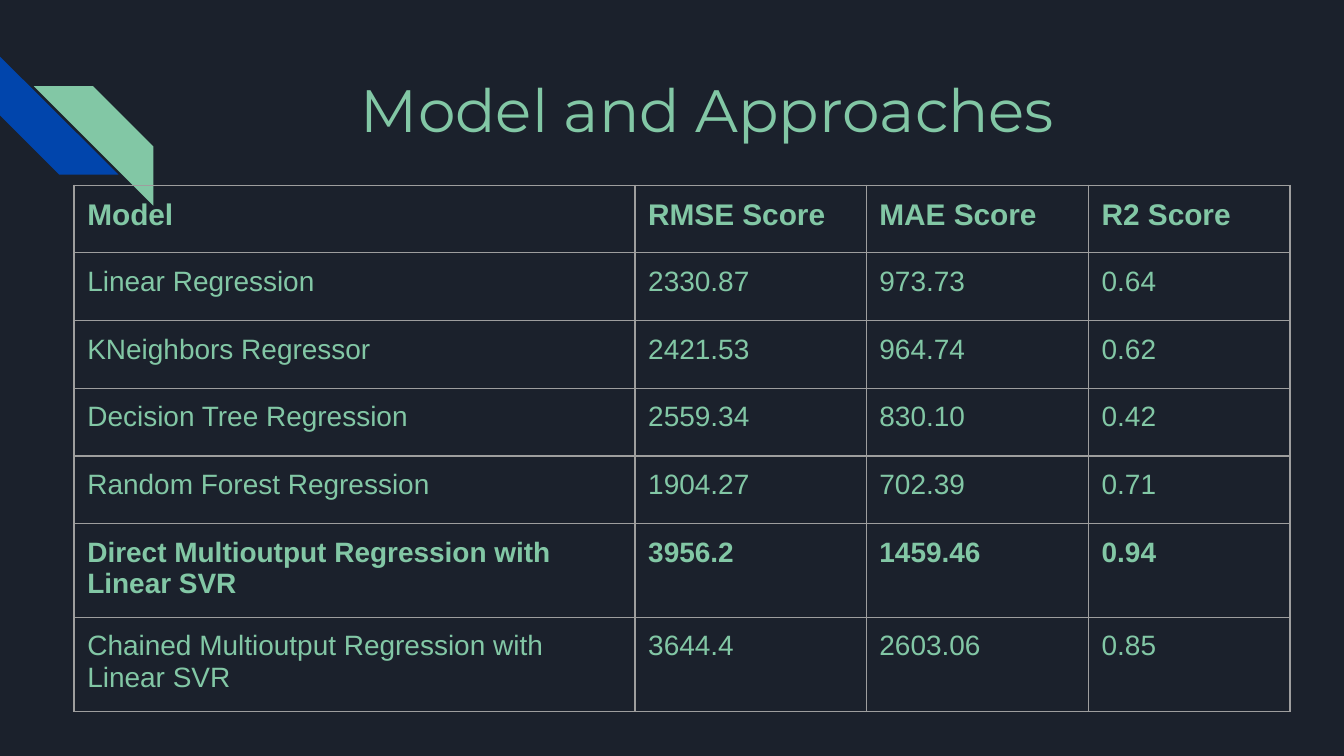
from dataclasses import dataclass

from lxml.etree import SubElement
from pptx import Presentation
from pptx.dml.color import RGBColor
from pptx.enum.text import MSO_ANCHOR, PP_ALIGN
from pptx.oxml.ns import qn
from pptx.util import Cm, Pt


@dataclass(frozen=True)
class Theme:
    back: str = "1B212C"
    blue: str = "0145AC"
    green: str = "82C7A5"
    grid: str = "9E9E9E"
    title: int = 32
    head: int = 16
    body: int = 15


THEME = Theme()
PAD = Cm(0.25)
MARGINS = {f"margin_{side}": PAD for side in ("left", "right", "top", "bottom")}

BANDS = [
    (THEME.blue, [(0, 1.07), (0, 2.18), (1.12, 3.3), (2.24, 3.3)]),
    (THEME.green, [(0.64, 1.63), (1.76, 1.63), (2.9, 2.77), (2.9, 3.89)]),
]
WIDTHS = [10.6, 4.37, 4.2, 3.81]
HEIGHTS = [1.28] * 5 + [1.68] * 2
ROWS = [
    ("Model", "RMSE Score", "MAE Score", "R2 Score"),
    ("Linear Regression", "2330.87", "973.73", "0.64"),
    ("KNeighbors Regressor", "2421.53", "964.74", "0.62"),
    ("Decision Tree Regression", "2559.34", "830.10", "0.42"),
    ("Random Forest Regression", "1904.27", "702.39", "0.71"),
    ("Direct Multioutput Regression with Linear SVR", "3956.2", "1459.46", "0.94"),
    ("Chained Multioutput Regression with Linear SVR", "3644.4", "2603.06", "0.85"),
]
BOLD = {0, 5}


def apply(item, values):
    for name, value in values.items():
        setattr(item, name, value)


def write(frame, text, size, face="Arial", bold=False):
    run = frame.paragraphs[0].add_run()
    run.text = text
    apply(run.font, {"name": face, "size": Pt(size), "bold": bold})
    run.font.color.rgb = RGBColor.from_string(THEME.green)


def add_band(slide, color, points):
    spots = [(Cm(x), Cm(y)) for x, y in points]
    pen = slide.shapes.build_freeform(*spots[0])
    pen.add_line_segments(spots[1:], close=True)
    band = pen.convert_to_shape()
    band.shadow.inherit = False
    band.fill.solid()
    band.fill.fore_color.rgb = RGBColor.from_string(color)
    band.line.fill.background()


def add_title(slide, text):
    box = slide.shapes.add_textbox(Cm(3.6), Cm(1.1), Cm(19.56), Cm(1.9))
    frame = box.text_frame
    apply(frame, {**MARGINS, "word_wrap": True, "vertical_anchor": MSO_ANCHOR.MIDDLE})
    write(frame, text, THEME.title, "Montserrat")
    frame.paragraphs[0].alignment = PP_ALIGN.CENTER


def add_edges(cell):
    props = cell._tc.get_or_add_tcPr()
    for place, side in enumerate(("lnL", "lnR", "lnT", "lnB")):
        edge = props.makeelement(qn(f"a:{side}"), {"w": str(Pt(0.75))})
        props.insert(place, edge)
        fill = SubElement(edge, qn("a:solidFill"))
        SubElement(fill, qn("a:srgbClr"), val=THEME.grid)


def add_scores(slide):
    table = slide.shapes.add_table(
        len(ROWS), len(WIDTHS), Cm(1.4), Cm(3.5), Cm(sum(WIDTHS)), Cm(sum(HEIGHTS))
    ).table
    apply(table, {"first_row": False, "horz_banding": False})
    for col, width in zip(table.columns, WIDTHS):
        col.width = Cm(width)
    for row, height in zip(table.rows, HEIGHTS):
        row.height = Cm(height)
    for i, texts in enumerate(ROWS):
        size = THEME.body if i else THEME.head
        for j, text in enumerate(texts):
            cell = table.cell(i, j)
            apply(cell, MARGINS)
            cell.fill.background()
            add_edges(cell)
            write(cell.text_frame, text, size, bold=i in BOLD)


def main():
    deck = Presentation()
    apply(deck, {"slide_width": Cm(25.4), "slide_height": Cm(14.29)})
    slide = deck.slides.add_slide(deck.slide_layouts[6])

    # Background and corner bands
    slide.background.fill.solid()
    slide.background.fill.fore_color.rgb = RGBColor.from_string(THEME.back)
    for color, points in BANDS:
        add_band(slide, color, points)

    # Title and score table
    add_title(slide, "Model and Approaches")
    add_scores(slide)
    deck.save("out.pptx")


if __name__ == "__main__":
    main()
